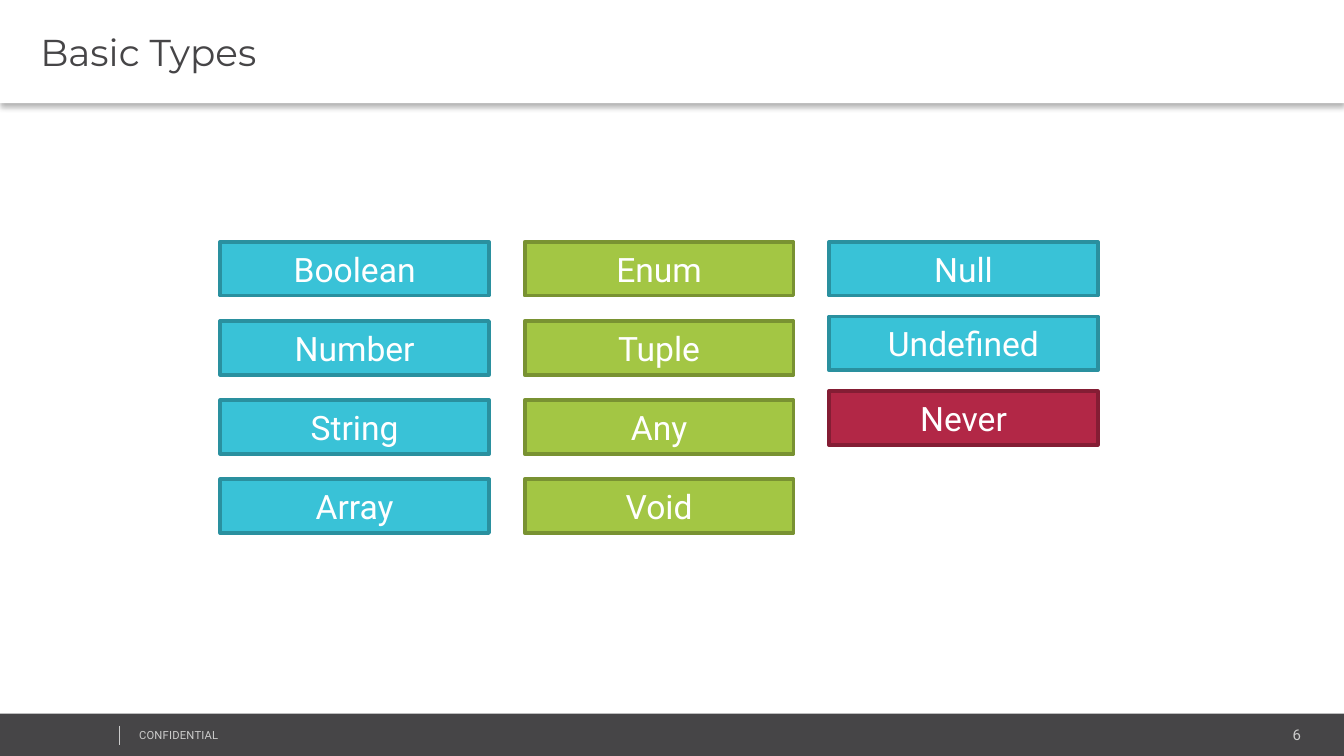
import pptx
import pptx.util
import pptx.dml.color
import pptx.enum.shapes
import pptx.enum.text
import pptx.oxml.ns
import lxml.etree

Pt = pptx.util.Pt
ALIGN = pptx.enum.text.PP_ALIGN
ANCHOR = pptx.enum.text.MSO_ANCHOR

# Content
TITLE = "Basic Types"
FOOTER = "CONFIDENTIAL"
PAGE_NUMBER = "6"
BLUE, GREEN, RED = ("39C2D7", "2A909F"), ("A3C644", "799232"), ("B22746", "841D34")
DARK, PALE, WHITE = "464547", "CCCCCC", "FFFFFF"
# Each column: distance between rows, then (type name, (fill, outline))
COLUMNS = [
    (42.4, [("Boolean", BLUE), ("Number", BLUE), ("String", BLUE), ("Array", BLUE)]),
    (42.4, [("Enum", GREEN), ("Tuple", GREEN), ("Any", GREEN), ("Void", GREEN)]),
    (40, [("Null", BLUE), ("Undefined", BLUE), ("Never", RED)]),
]
GRID_LEFT, GRID_TOP, COLUMN_STEP = 118, 129.6, 163.1
BOX_WIDTH, BOX_HEIGHT = 144, 28.8

presentation = pptx.Presentation()
presentation.slide_width, presentation.slide_height = Pt(720), Pt(405)
slide = presentation.slides.add_slide(presentation.slide_layouts[6])


def color(value):
    return pptx.dml.color.RGBColor.from_string(value)


def add_effect_list(shape):
    return lxml.etree.SubElement(shape._element.spPr, pptx.oxml.ns.qn("a:effectLst"))


def write(shape, text, size, font, text_color, align, anchor=ANCHOR.MIDDLE, left_inset=5):
    frame = shape.text_frame
    frame.text = text
    frame.word_wrap = True
    frame.vertical_anchor = anchor
    frame.margin_left, frame.margin_right = Pt(left_inset), Pt(5)
    frame.margin_top = frame.margin_bottom = Pt(3)
    paragraph = frame.paragraphs[0]
    paragraph.alignment = align
    run = paragraph.runs[0]
    run.font.size, run.font.name = Pt(size), font
    run.font.color.rgb = color(text_color)
    return run


def add_rectangle(left, top, width, height, fill, outline=None):
    shape = slide.shapes.add_shape(
        pptx.enum.shapes.MSO_SHAPE.RECTANGLE, Pt(left), Pt(top), Pt(width), Pt(height))
    shape.fill.solid()
    shape.fill.fore_color.rgb = color(fill)
    if outline:
        shape.line.color.rgb = color(outline)
        shape.line.width = Pt(2)
    else:
        shape.line.fill.background()
    shape.shadow.inherit = False
    return shape


# Footer bar with page number, label and divider
add_rectangle(0, 382.3, 720, 22.7, DARK)
page_box = slide.shapes.add_textbox(Pt(584.6), Pt(385.9), Pt(117.4), Pt(15.1))
write(page_box, PAGE_NUMBER, 8, "Roboto", PALE, ALIGN.RIGHT, ANCHOR.TOP)
footer_box = slide.shapes.add_textbox(Pt(69.5), Pt(387.2), Pt(182), Pt(13))
footer_run = write(footer_box, FOOTER, 6, "Roboto", PALE, ALIGN.LEFT, ANCHOR.TOP)
footer_run.font._element.set("spc", "10")
divider = slide.shapes.add_connector(
    pptx.enum.shapes.MSO_CONNECTOR.STRAIGHT, Pt(64), Pt(388.8), Pt(64), Pt(398.9))
divider.line.color.rgb = color(PALE)
divider.line.width = Pt(0.25)
add_effect_list(divider)

# Title band with a soft shadow below
title_band = add_rectangle(0, 0, 720, 55.3, WHITE)
write(title_band, TITLE, 20, "Montserrat", DARK, ALIGN.LEFT, left_inset=21.6)
effects = title_band._element.spPr.find(pptx.oxml.ns.qn("a:effectLst"))
shadow = lxml.etree.SubElement(
    effects, pptx.oxml.ns.qn("a:outerShdw"), blurRad=str(Pt(3.1)), dist=str(Pt(2)),
    dir="5400000", algn="t", rotWithShape="0")
shadow_color = lxml.etree.SubElement(shadow, pptx.oxml.ns.qn("a:srgbClr"), val="000000")
lxml.etree.SubElement(shadow_color, pptx.oxml.ns.qn("a:alpha"), val="30000")

# Columns of type boxes
for column, (row_step, types) in enumerate(COLUMNS):
    for row, (name, (fill, outline)) in enumerate(types):
        box = add_rectangle(GRID_LEFT + column * COLUMN_STEP, GRID_TOP + row * row_step,
                            BOX_WIDTH, BOX_HEIGHT, fill, outline)
        write(box, name, 18, "Roboto", WHITE, ALIGN.CENTER)

presentation.save("out.pptx")
